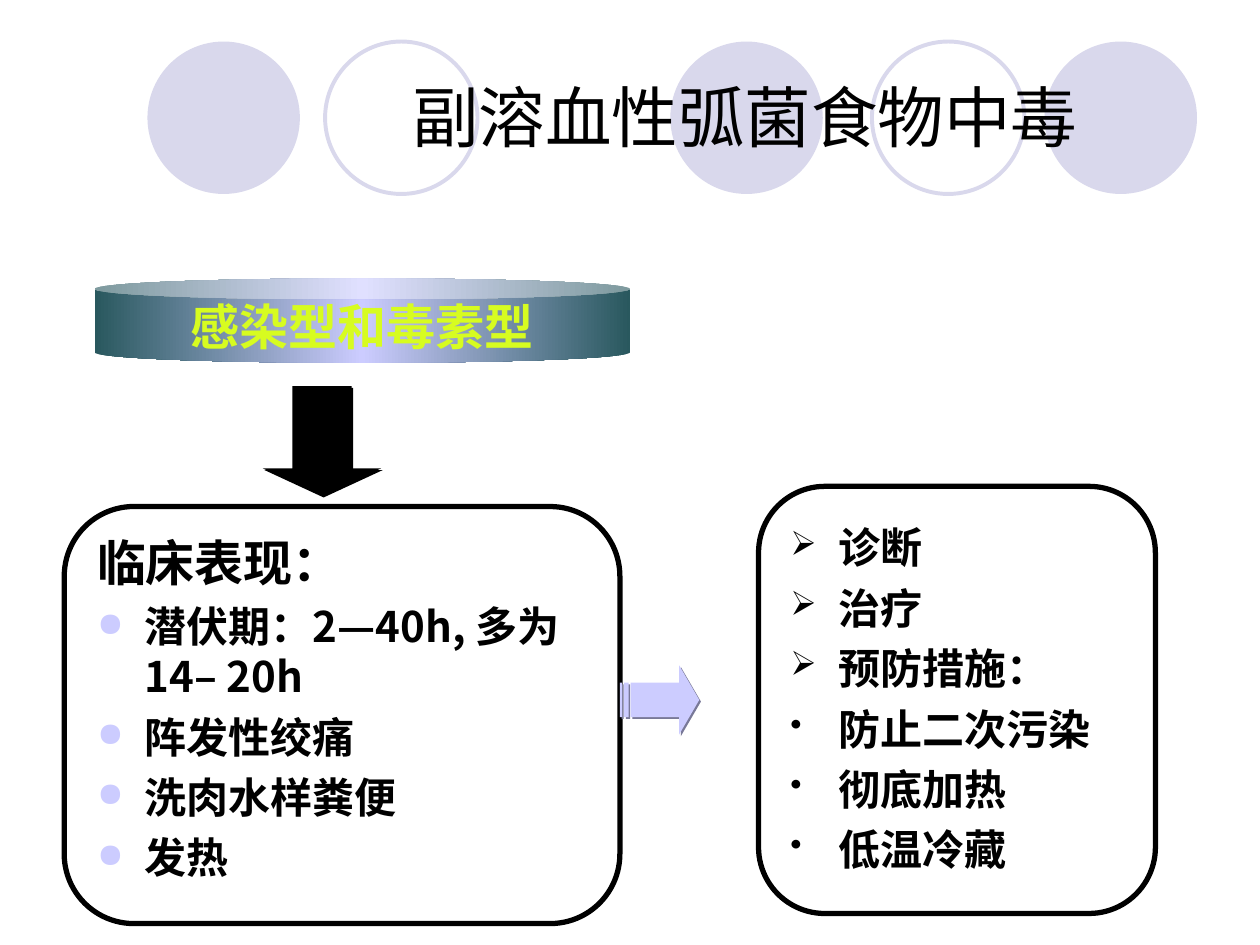
"""Build the slide on Vibrio parahaemolyticus food poisoning."""
from lxml import etree
from pptx import Presentation
from pptx.dml.color import RGBColor
from pptx.enum.shapes import MSO_SHAPE
from pptx.enum.text import MSO_ANCHOR, PP_ALIGN
from pptx.oxml import parse_xml
from pptx.oxml.ns import qn
from pptx.util import Inches, Pt

ELLIPSE, ROUND, CAN = MSO_SHAPE.OVAL, MSO_SHAPE.ROUNDED_RECTANGLE, MSO_SHAPE.CAN
ARROW, STRIPED = MSO_SHAPE.RIGHT_ARROW, MSO_SHAPE.STRIPED_RIGHT_ARROW
TOP, MIDDLE = MSO_ANCHOR.TOP, MSO_ANCHOR.MIDDLE
LEFT, CENTER, JUSTIFY = PP_ALIGN.LEFT, PP_ALIGN.CENTER, PP_ALIGN.JUSTIFY
NS = 'xmlns:a="http://schemas.openxmlformats.org/drawingml/2006/main"'
CJK, LILAC, PALE, TEAL, BLACK = "Noto Sans CJK SC", "CCCCFF", "D9D8EC", "29585E", "000000"


def add_shape(kind, x, y, w, h, fill=None, line=None, width=3, adj=(), shadow=None):
    """Add a preset shape with the given fill, outline and shadow."""
    sp = s.shapes.add_shape(kind, Inches(x), Inches(y), Inches(w), Inches(h))
    sp.shadow.inherit = False
    if fill:
        sp.fill.solid()
        sp.fill.fore_color.rgb = RGBColor.from_string(fill)
    else:
        sp.fill.background()
    if line:
        sp.line.color.rgb = RGBColor.from_string(line)
        sp.line.width = Pt(width)
    else:
        sp.line.fill.background()
    for i, value in enumerate(adj):
        sp.adjustments[i] = value
    if shadow:
        effects = sp._element.spPr.find(qn("a:effectLst"))
        effects.append(parse_xml(
            f'<a:outerShdw {NS} dist="17780" dir="2700000" algn="ctr" rotWithShape="0">'
            f'<a:srgbClr val="{shadow}"/></a:outerShdw>'))
    return sp


def add_text(p, text, size, font=CJK, color=BLACK, bold=True, align=LEFT,
             hanging=False, bullet=None, bullet_color=BLACK, before=0, spacing=None):
    """Write one formatted run into a paragraph, with an optional bullet."""
    pPr = p._p.get_or_add_pPr()
    if hanging:
        pPr.set("marL", str(Inches(0.38)))
        pPr.set("indent", str(-Inches(0.38)))
    if bullet:
        for xml in (f'<a:buClr {NS}><a:srgbClr val="{bullet_color}"/></a:buClr>',
                    f'<a:buSzPct {NS} val="80000"/>',
                    f'<a:buChar {NS} char="{bullet}"/>'):
            pPr.append(parse_xml(xml))
    p.alignment = align
    p.space_before = Pt(before)
    if spacing:
        p.line_spacing = Pt(spacing)
    r = p.add_run()
    r.text = text
    r.font.size = Pt(size)
    r.font.bold = bold
    r.font.name = font
    r.font.color.rgb = RGBColor.from_string(color)
    etree.SubElement(r._r.get_or_add_rPr(), qn("a:ea")).set("typeface", CJK)


prs = Presentation()
prs.slide_width, prs.slide_height = Inches(10), Inches(7.5)
s = prs.slides.add_slide(prs.slide_layouts[5])

for x in (5.32, 8.29, 1.17):
    add_shape(ELLIPSE, x, 0.33, 1.21, 1.21, fill=PALE)
for x in (6.92, 2.58):
    add_shape(ELLIPSE, x, 0.33, 1.21, 1.21, line=PALE, width=2.25)

title = s.shapes.title
s.shapes._spTree.append(title._element)
title.left, title.top, title.width, title.height = (
    Inches(3.17), Inches(0.42), Inches(5.92), Inches(1))
title.text_frame.vertical_anchor = MIDDLE
add_text(title.text_frame.paragraphs[0], "副溶血性弧菌食物中毒", 38, font="Arial", bold=False)

symptoms = add_shape(ROUND, 0.51, 4.02, 4.41, 3.31, line=BLACK, adj=[0.167])
tf = symptoms.text_frame
tf.word_wrap = True
tf.vertical_anchor = TOP
add_text(tf.paragraphs[0], "临床表现：", 28, hanging=True, spacing=33)
for text in ("潜伏期：2—40h, 多为14– 20h", "阵发性绞痛", "洗肉水样粪便", "发热"):
    add_text(tf.add_paragraph(), text, 24, hanging=True, bullet="●",
             bullet_color=LILAC, before=6, spacing=28.5)

can = add_shape(CAN, 0.75, 2.21, 4.25, 0.67, fill=LILAC, adj=[0.25])
stops = "".join(f'<a:gs pos="{pos}"><a:srgbClr val="{color}"/></a:gs>'
                for pos, color in ((0, TEAL), (50000, LILAC), (100000, TEAL)))
solid = can._element.spPr.find(qn("a:solidFill"))
can._element.spPr.replace(solid, parse_xml(
    f'<a:gradFill {NS} rotWithShape="1"><a:gsLst>{stops}</a:gsLst><a:lin ang="0"/></a:gradFill>'))
can.text_frame.word_wrap = False
can.text_frame.vertical_anchor = MIDDLE
add_text(can.text_frame.paragraphs[0], "感染型和毒素型", 28, font="Arial",
         color="D7FC20", align=CENTER)

down = add_shape(ARROW, 2.12, 3.03, 0.87, 0.94, fill=BLACK, adj=[0.5, 0.25], shadow=BLACK)
down.rotation = 90
add_shape(STRIPED, 4.92, 5.28, 0.63, 0.55, fill=LILAC, adj=[0.5, 0.29], shadow="797998")

measures = add_shape(ROUND, 6.02, 3.86, 3.15, 3.39, line=BLACK, adj=[0.167])
tf = measures.text_frame
tf.word_wrap = True
tf.vertical_anchor = TOP
items = [("➢", "诊断"), ("➢", "治疗"), ("➢", "预防措施："),
         ("•", "防止二次污染"), ("•", "彻底加热"), ("•", "低温冷藏")]
for i, (bullet, text) in enumerate(items):
    p = tf.add_paragraph() if i else tf.paragraphs[0]
    add_text(p, text, 24, align=JUSTIFY, hanging=True, bullet=bullet, spacing=34.5)

prs.save("out.pptx")
